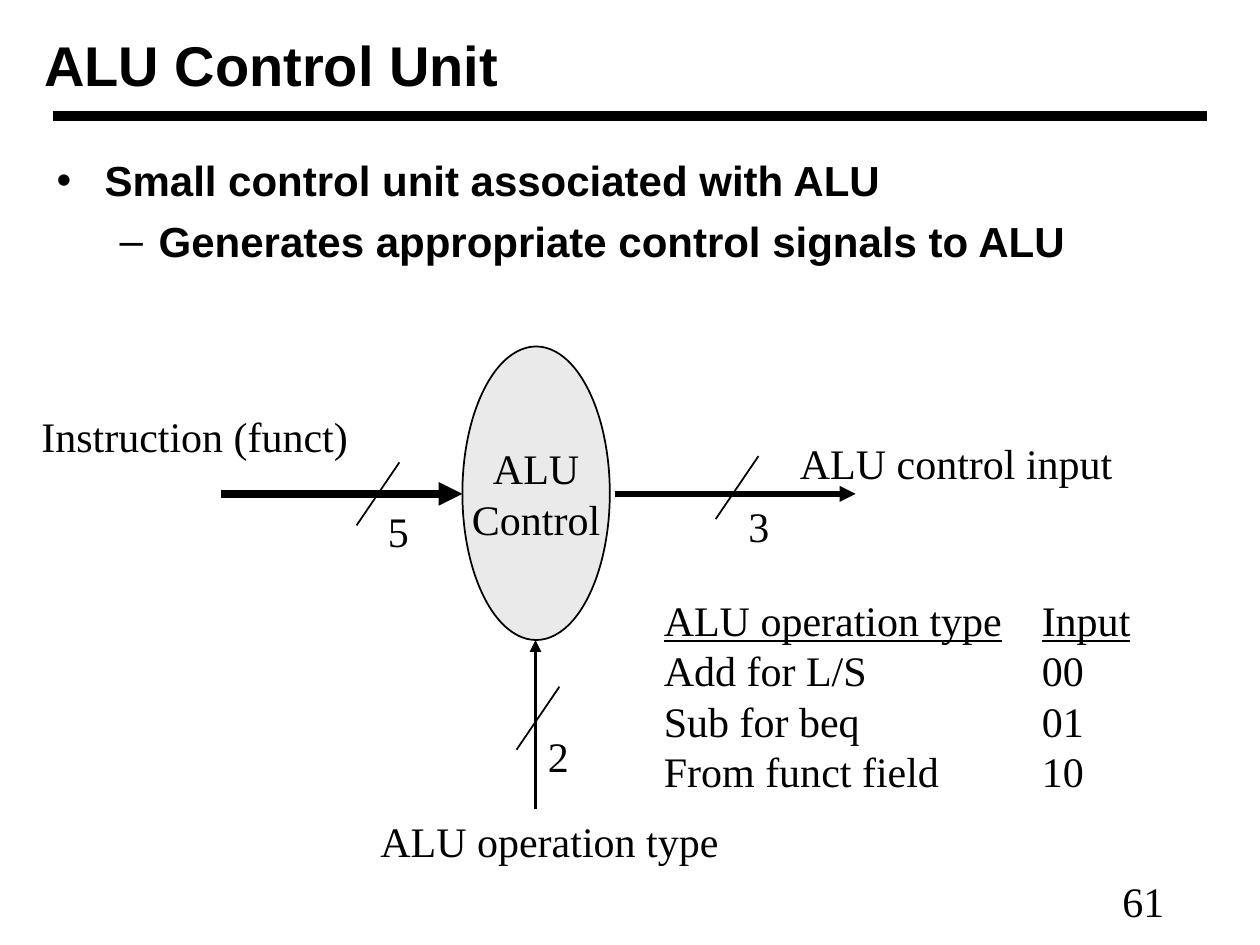
from lxml.etree import SubElement
from pptx import Presentation
from pptx.dml.color import RGBColor
from pptx.enum.shapes import MSO_CONNECTOR, MSO_SHAPE
from pptx.enum.text import MSO_ANCHOR, MSO_AUTO_SIZE, PP_ALIGN
from pptx.oxml.ns import qn
from pptx.util import Inches, Pt

COLORS = {"ink": "000000", "oval": "EAEAEA"}


class SlideBuilder:
    """Hold the style and the current slide, and draw each kind of element."""

    heading_font = "Arial"
    label_font = "Times New Roman"
    text_size = 24

    def __init__(self, prs):
        self.slide = prs.slides.add_slide(prs.slide_layouts[1])

    def color(self, name):
        return RGBColor.from_string(COLORS[name])

    def place(self, sp, left, top, width, height):
        sp.left, sp.top = Inches(left), Inches(top)
        sp.width, sp.height = Inches(width), Inches(height)

    def run(self, p, text, font=None, size=None, bold=False, underline=False):
        r = p.add_run()
        r.text = text
        r.font.name = font or self.label_font
        r.font.size = Pt(size or self.text_size)
        r.font.bold = bold
        r.font.underline = underline
        r.font.color.rgb = self.color("ink")

    def paragraphs(self, tf, items):
        for i, item in enumerate(items):
            yield (tf.add_paragraph() if i else tf.paragraphs[0]), item

    def title(self, text, *box):
        sp = self.slide.shapes.title
        self.place(sp, *box)
        tf = sp.text_frame
        tf.auto_size = MSO_AUTO_SIZE.NONE
        tf.vertical_anchor = MSO_ANCHOR.MIDDLE
        p = tf.paragraphs[0]
        p.alignment = PP_ALIGN.LEFT
        self.run(p, text, self.heading_font, 32, bold=True)

    def bullets(self, items, *box):
        sp = self.slide.placeholders[1]
        self.place(sp, *box)
        tf = sp.text_frame
        tf.auto_size = MSO_AUTO_SIZE.NONE
        for p, (level, char, margin, hang, text) in self.paragraphs(tf, items):
            p.level = level
            p.space_before = Pt(6 if level else 0)
            pPr = p._p.get_or_add_pPr()
            pPr.set("marL", str(Inches(margin)))
            pPr.set("indent", str(-Inches(hang)))
            clr = SubElement(pPr, qn("a:buClr"))
            SubElement(clr, qn("a:srgbClr"), val=COLORS["ink"])
            SubElement(pPr, qn("a:buFont"), typeface=self.heading_font)
            SubElement(pPr, qn("a:buChar"), char=char)
            self.run(p, text, self.heading_font, bold=True)

    def label(self, text, left, top, width):
        self.columns([[text]], left, top, width, 0.5)

    def columns(self, rows, left, top, width, height, tab=None):
        sp = self.slide.shapes.add_textbox(
            Inches(left), Inches(top), Inches(width), Inches(height))
        tf = sp.text_frame
        tf.word_wrap = False
        tf.auto_size = MSO_AUTO_SIZE.NONE
        for p, row in self.paragraphs(tf, rows):
            p.alignment = PP_ALIGN.LEFT
            if tab:
                tabs = SubElement(p._p.get_or_add_pPr(), qn("a:tabLst"))
                SubElement(tabs, qn("a:tab"), pos=str(Inches(tab)), algn="l")
            header = tab is not None and row is rows[0]
            for i, text in enumerate(row):
                if i:
                    self.run(p, "\t")
                self.run(p, text, underline=header)

    def oval(self, lines, *box):
        sp = self.slide.shapes.add_shape(MSO_SHAPE.OVAL, *map(Inches, box))
        sp.shadow.inherit = False
        sp.fill.solid()
        sp.fill.fore_color.rgb = self.color("oval")
        sp.line.color.rgb = self.color("ink")
        sp.line.width = Pt(1)
        tf = sp.text_frame
        tf.word_wrap = False
        tf.vertical_anchor = MSO_ANCHOR.MIDDLE
        for p, text in self.paragraphs(tf, lines):
            p.alignment = PP_ALIGN.CENTER
            self.run(p, text)

    def line(self, x1, y1, x2, y2, width=1, arrow=False):
        cx = self.slide.shapes.add_connector(
            MSO_CONNECTOR.STRAIGHT, *map(Inches, (x1, y1, x2, y2)))
        cx.line.color.rgb = self.color("ink")
        cx.line.width = Pt(width)
        if arrow:
            SubElement(cx.line._get_or_add_ln(), qn("a:tailEnd"), type="triangle")
        SubElement(cx._element.spPr, qn("a:effectLst"))

    def bus_width(self, bits, x, y, label_left, label_top):
        self.line(x + 0.17, y - 0.25, x - 0.17, y + 0.25)
        self.label(bits, label_left, label_top, 0.38)


def main():
    prs = Presentation()
    prs.slide_width, prs.slide_height = Inches(10), Inches(7.5)
    s = SlideBuilder(prs)

    s.line(0.42, 0.92, 9.58, 0.92, 6)
    s.label("61", 8.81, 6.9, 0.55)
    s.title("ALU Control Unit", 0.25, 0.17, 8.33, 0.67)
    s.bullets([
        (0, "•", 0.38, 0.38, "Small control unit associated with ALU"),
        (1, "–", 0.81, 0.31, "Generates appropriate control signals to ALU"),
    ], 0.35, 1.18, 9.31, 2.47)

    s.oval(["ALU", "Control"], 3.67, 2.75, 1.17, 2.33)
    s.line(1.75, 3.92, 3.67, 3.92, 4.5, arrow=True)
    s.line(4.25, 6.42, 4.25, 5.08, 2.25, arrow=True)
    s.line(4.88, 3.92, 6.79, 3.92, 3, arrow=True)

    s.bus_width("5", 3, 3.92, 2.98, 3.96)
    s.bus_width("2", 4.27, 5.7, 4.25, 5.75)
    s.bus_width("3", 5.85, 3.87, 5.84, 3.92)

    s.label("Instruction (funct)", 0.23, 3.21, 2.7)
    s.label("ALU control input", 6.25, 3.42, 2.75)
    s.label("ALU operation type", 2.92, 6.42, 2.95)
    s.columns([
        ("ALU operation type", "Input"),
        ("Add for L/S", "00"),
        ("Sub for beq", "01"),
        ("From funct field", "10"),
    ], 5.17, 4.67, 4, 1.7, tab=3)

    prs.save("out.pptx")


if __name__ == "__main__":
    main()
